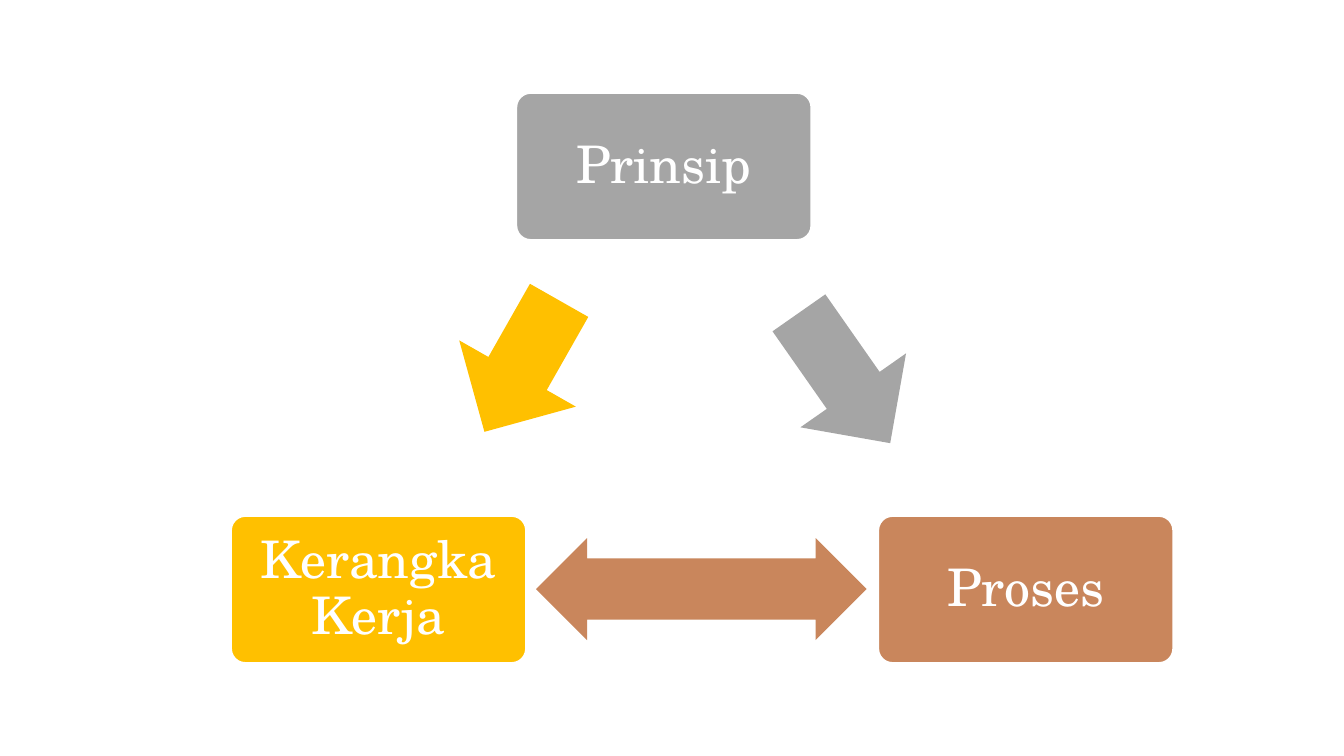
from pptx import Presentation
from pptx.dml.color import RGBColor
from pptx.enum.shapes import MSO_SHAPE as Shape
from pptx.enum.text import MSO_ANCHOR as Anchor, PP_ALIGN as Align
from pptx.util import Cm, Pt

FONT = "TeX Gyre Schola"
WHITE, GREY, AMBER, BROWN = "FFFFFF", "A5A5A5", "FFC000", "C9865C"
BOX_WIDTH, BOX_HEIGHT = 7.46, 3.73
TOP_ROW, BOTTOM_ROW = 2.33, 12.99


def colour(hex_value):
    return RGBColor.from_string(hex_value)


def add_filled(slide, kind, left, top, width, height, fill):
    figure = slide.shapes.add_shape(kind, Cm(left), Cm(top), Cm(width), Cm(height))
    figure.shadow.inherit = False
    figure.fill.solid()
    figure.fill.fore_color.rgb = colour(fill)
    figure.line.fill.background()
    return figure


def add_box(slide, label, left, top, fill):
    box = add_filled(slide, Shape.ROUNDED_RECTANGLE, left, top,
                     BOX_WIDTH, BOX_HEIGHT, fill)
    box.adjustments[0] = 0.1
    box.line.color.rgb = colour(WHITE)
    box.line.width = Pt(2)

    frame = box.text_frame
    frame.word_wrap = True
    frame.vertical_anchor = Anchor.MIDDLE
    frame.margin_left = frame.margin_right = Cm(0.5)
    frame.margin_top = frame.margin_bottom = Cm(0.3)
    frame.text = label
    paragraph = frame.paragraphs[0]
    paragraph.alignment = Align.CENTER
    paragraph.line_spacing = 0.9
    font = paragraph.runs[0].font
    font.name = FONT
    font.size = Pt(37)
    font.color.rgb = colour(WHITE)


def add_arrow(slide, kind, left, top, width, height, fill, rotation=0):
    arrow = add_filled(slide, kind, left, top, width, height, fill)
    arrow.rotation = rotation
    return arrow


def main():
    deck = Presentation()
    deck.slide_width, deck.slide_height = Cm(33.87), Cm(19.05)
    slide = deck.slides.add_slide(deck.slide_layouts[6])

    # Principle and its arrow to the process
    add_box(slide, "Prinsip", 13, TOP_ROW, GREY)
    add_arrow(slide, Shape.DOWN_ARROW, 19.66, 7.52, 3.25, 4.01, GREY, 325)

    # Process and its two-way arrow to the framework
    add_box(slide, "Proses", 22.12, BOTTOM_ROW, BROWN)
    exchange = add_arrow(slide, Shape.LEFT_RIGHT_ARROW,
                         13.51, 13.56, 8.33, 2.57, BROWN)
    exchange.adjustments[0] = 0.6

    # Framework and the arrow leading to it
    add_box(slide, "Kerangka Kerja", 5.81, BOTTOM_ROW, AMBER)
    add_arrow(slide, Shape.UP_ARROW, 11.46, 7.32, 3.38, 3.81, AMBER, 209.6)

    deck.save("out.pptx")


if __name__ == "__main__":
    main()
